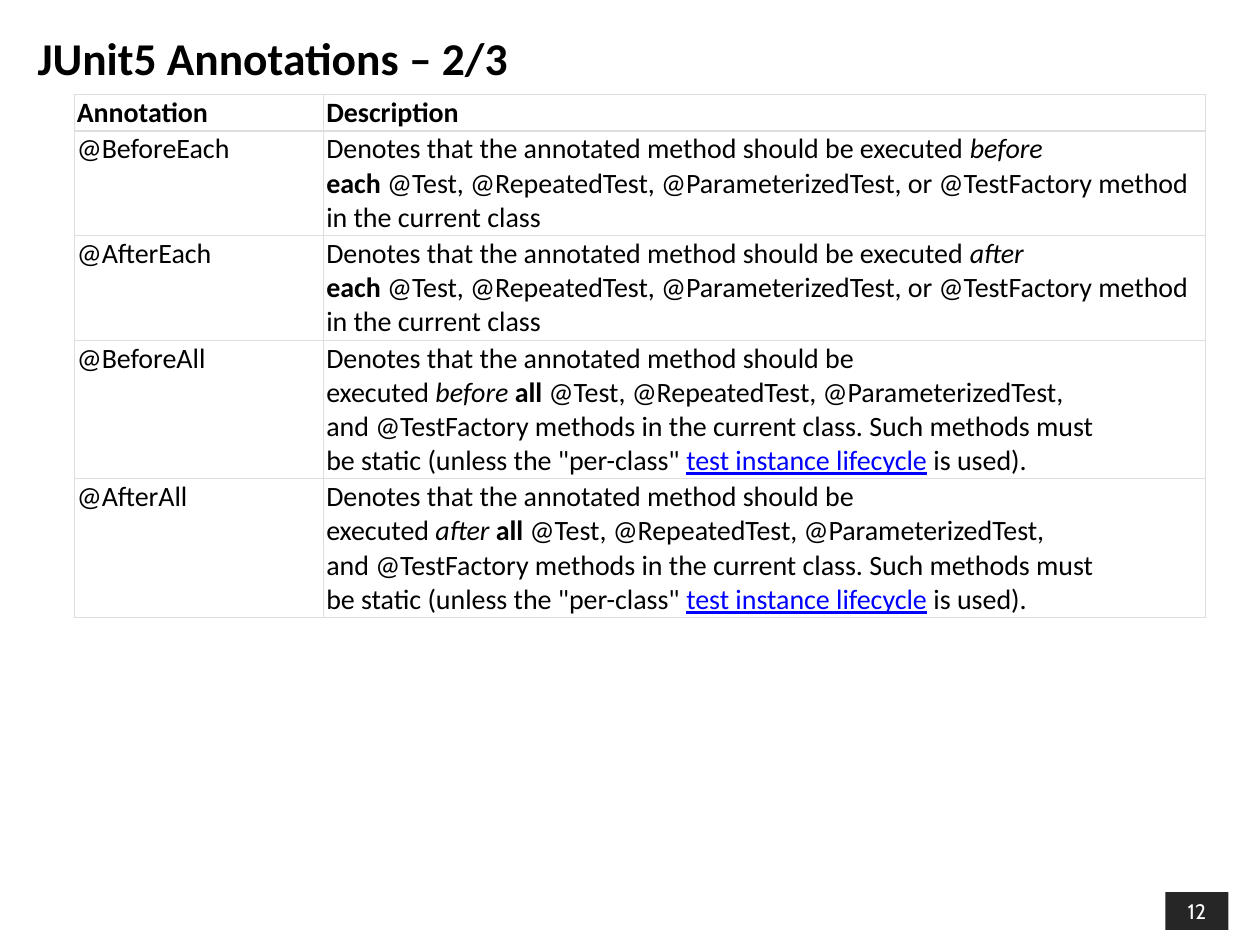
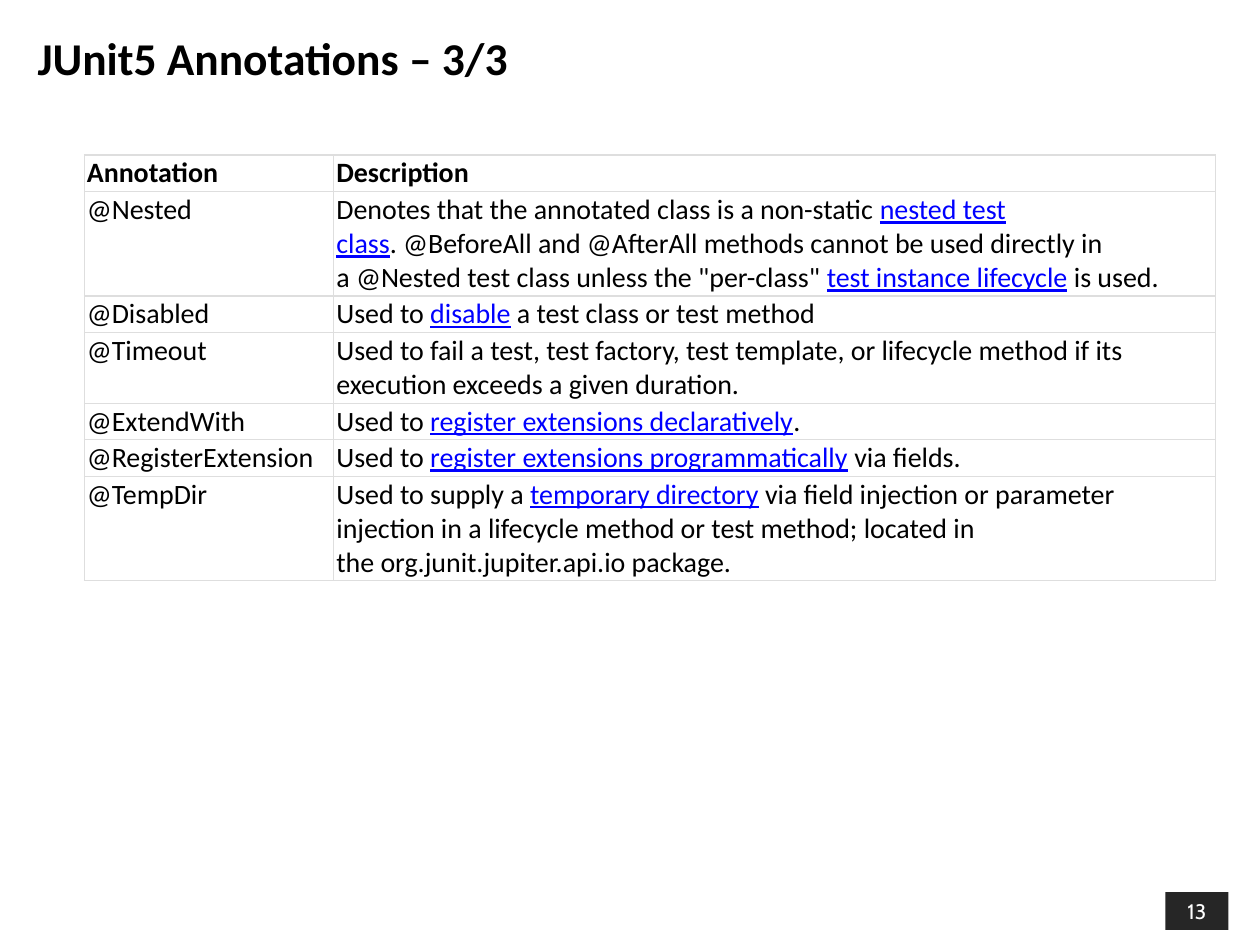
import pptx
import pptx.util
import pptx.dml.color
import pptx.enum.shapes
import pptx.enum.text
import pptx.oxml.ns
from lxml import etree

# ---- Content: "~" is a tie, a space at which no line breaks ----
PLAIN, BOLD, ITALIC, LINK = "plain", "bold", "italic", "link"
TIE = "~"
HEADINGS = ("Annotation", "Description")
LIFECYCLE = ("test instance lifecycle", LINK)


def around_each(moment):
    return [("Denotes that the annotated method should be executed ", PLAIN),
            (moment + " ", ITALIC), ("each", BOLD),
            ("~@Test,~@RepeatedTest,~@ParameterizedTest, or~@TestFactory~method "
             "in the current class", PLAIN)]


def around_all(moment):
    return [("Denotes that the annotated method should be executed~", PLAIN),
            (moment + "~", ITALIC), ("all", BOLD),
            ("~@Test,~@RepeatedTest,~@ParameterizedTest, and~@TestFactory~methods "
             "in the current class. Such methods must be~static~"
             "(unless the \"per-class\"~", PLAIN),
            LIFECYCLE, ("~is used).", PLAIN)]


# Each row: annotation, lines of text in the row, description runs
PAGES = [
    {"title": "JUnit5 Annotations – 2/3", "number": 12, "corner": (0.59, 0.75),
     "annotations": [
         ("@BeforeEach", 3, around_each("before")),
         ("@AfterEach", 3, around_each("after")),
         ("@BeforeAll", 4, around_all("before")),
         ("@AfterAll", 4, around_all("after")),
     ]},
    {"title": "JUnit5 Annotations – 3/3", "number": 13, "corner": (0.67, 1.23),
     "annotations": [
         ("@Nested", 3, [
             ("Denotes that the annotated class is a non-static~", PLAIN),
             ("nested test class", LINK),
             (".~@BeforeAll~and~@AfterAll~methods cannot be used directly in "
              "a~@Nested~test class unless the \"per-class\"~", PLAIN),
             LIFECYCLE, ("~is used.", PLAIN)]),
         ("@Disabled", 1, [
             ("Used to~", PLAIN), ("disable", LINK),
             ("~a test class or test method", PLAIN)]),
         ("@Timeout", 2, [
             ("Used to fail a test, test factory, test template, or lifecycle "
              "method if its execution exceeds a given duration.", PLAIN)]),
         ("@ExtendWith", 1, [
             ("Used to~", PLAIN), ("register extensions declaratively", LINK),
             (".", PLAIN)]),
         ("@RegisterExtension", 1, [
             ("Used to~", PLAIN), ("register extensions programmatically", LINK),
             ("~via fields.", PLAIN)]),
         ("@TempDir", 3, [
             ("Used to supply a~", PLAIN), ("temporary directory", LINK),
             ("~via field injection or parameter injection in a lifecycle method "
              "or test method; located in the~org.junit.jupiter.api.io~package.",
              PLAIN)]),
     ]},
]

# ---- Shared look ----
BLACK = pptx.dml.color.RGBColor(0x00, 0x00, 0x00)
WHITE = pptx.dml.color.RGBColor(0xFF, 0xFF, 0xFF)
CHARCOAL = pptx.dml.color.RGBColor(0x26, 0x26, 0x26)
LINK_BLUE = pptx.dml.color.RGBColor(0x00, 0x00, 0xFF)
GRID_GREY = pptx.dml.color.RGBColor(0xDE, 0xDE, 0xDE)

BODY_FONT, NUMBER_FONT = "Calibri", "Cabin"
TITLE_SIZE, TABLE_SIZE, NUMBER_SIZE = 26, 16, 12
TITLE_BOX = (0.2, 0.15, 9.65, 0.61)
NUMBER_BOX = (9.25, 7.08, 0.5, 0.3)
COLUMNS = (1.98, 7)
LINE_HEIGHT, ROW_PADDING = 0.27, 0.02
SIDE_INSET, TOP_INSET = 0.02, 0.01
GRID_WIDTH = 0.75

inch = pptx.util.Inches
MIDDLE = pptx.enum.text.MSO_ANCHOR.MIDDLE


def add_run(paragraph, text, size, style=PLAIN, font=BODY_FONT, color=BLACK):
    run = paragraph.add_run()
    run.text = text.replace(TIE, chr(160))
    run.font.name, run.font.size = font, pptx.util.Pt(size)
    run.font.bold = style == BOLD
    run.font.italic = style == ITALIC
    run.font.underline = style == LINK
    run.font.color.rgb = LINK_BLUE if style == LINK else color


def add_title(slide, title):
    frame = slide.shapes.add_textbox(*map(inch, TITLE_BOX)).text_frame
    frame.word_wrap = True
    frame.vertical_anchor = MIDDLE
    add_run(frame.paragraphs[0], title, TITLE_SIZE, BOLD)


def add_page_number(slide, number):
    badge = slide.shapes.add_shape(
        pptx.enum.shapes.MSO_SHAPE.RECTANGLE, *map(inch, NUMBER_BOX))
    badge.shadow.inherit = False
    badge.fill.solid()
    badge.fill.fore_color.rgb = CHARCOAL
    badge.line.fill.background()
    frame = badge.text_frame
    frame.margin_top = frame.margin_bottom = 0
    frame.vertical_anchor = MIDDLE
    frame.paragraphs[0].alignment = pptx.enum.text.PP_ALIGN.CENTER
    add_run(frame.paragraphs[0], str(number), NUMBER_SIZE,
            font=NUMBER_FONT, color=WHITE)


def draw_borders(cell):
    qn = pptx.oxml.ns.qn
    properties = cell._tc.get_or_add_tcPr()
    # Borders come before the fill in the cell properties
    for position, side in enumerate(("a:lnL", "a:lnR", "a:lnT", "a:lnB")):
        border = etree.Element(qn(side), w=str(pptx.util.Pt(GRID_WIDTH)))
        fill = etree.SubElement(border, qn("a:solidFill"))
        etree.SubElement(fill, qn("a:srgbClr"), val=str(GRID_GREY))
        properties.insert(position, border)


def fill_cell(cell, runs):
    cell.margin_left = cell.margin_right = inch(SIDE_INSET)
    cell.margin_top = cell.margin_bottom = inch(TOP_INSET)
    cell.fill.solid()
    cell.fill.fore_color.rgb = WHITE
    draw_borders(cell)
    for text, style in runs:
        add_run(cell.text_frame.paragraphs[0], text, TABLE_SIZE, style)


def add_annotation_table(slide, corner, annotations):
    rows = [(1, [[(heading, BOLD)] for heading in HEADINGS])]
    rows += [(lines, [[(name, PLAIN)], description])
             for name, lines, description in annotations]
    heights = [LINE_HEIGHT * lines + ROW_PADDING for lines, _ in rows]
    table = slide.shapes.add_table(
        len(rows), len(COLUMNS), *map(inch, corner),
        inch(sum(COLUMNS)), inch(sum(heights))).table
    table.first_row = table.horz_banding = False
    for column, width in zip(table.columns, COLUMNS):
        column.width = inch(width)
    for row, height, (_, contents) in zip(table.rows, heights, rows):
        row.height = inch(height)
        for cell, runs in zip(row.cells, contents):
            fill_cell(cell, runs)


def main():
    deck = pptx.Presentation()
    deck.slide_width, deck.slide_height = inch(10), inch(7.5)
    blank = deck.slide_layouts[6]
    for page in PAGES:
        slide = deck.slides.add_slide(blank)
        add_page_number(slide, page["number"])
        add_title(slide, page["title"])
        add_annotation_table(slide, page["corner"], page["annotations"])
    deck.save("out.pptx")


if __name__ == "__main__":
    main()
